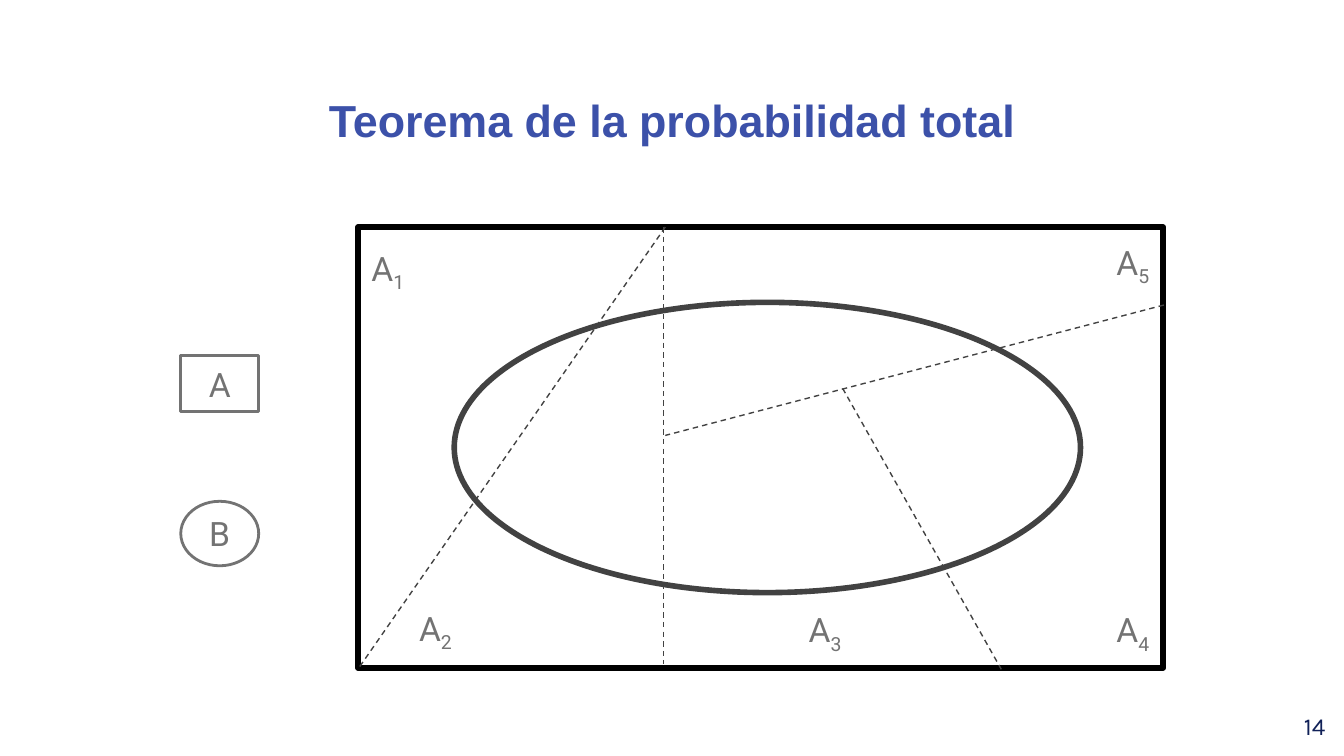
from pptx import Presentation
from pptx.dml.color import RGBColor
from pptx.enum.dml import MSO_LINE
from pptx.enum.shapes import MSO_CONNECTOR, MSO_SHAPE
from pptx.enum.text import MSO_ANCHOR, MSO_AUTO_SIZE, PP_ALIGN
from pptx.oxml.ns import qn
from pptx.util import Inches, Pt

RECT, OVAL = MSO_SHAPE.RECTANGLE, MSO_SHAPE.OVAL
LEFT, MID, RIGHT = PP_ALIGN.LEFT, PP_ALIGN.CENTER, PP_ALIGN.RIGHT
TOP, CENTER, BASE = MSO_ANCHOR.TOP, MSO_ANCHOR.MIDDLE, MSO_ANCHOR.BOTTOM
DASH = MSO_LINE.DASH
GRAY, DARK = "737373", "424242"

# A 16:9 slide with a grid of 100 columns and square cells
deck = Presentation()
deck.slide_width, deck.slide_height = Inches(10), Inches(10 * 9 / 16)
cell = deck.slide_width / 100
slide = deck.slides.add_slide(deck.slide_layouts[5])
shapes = slide.shapes


def hue(code):
    return RGBColor.from_string(code)


def write(shape, text, align, anchor=TOP, size=18, font="Roboto", color=GRAY, bold=False):
    """Fill a shape with one paragraph; text after "_" is a subscript."""
    frame = shape.text_frame
    frame.word_wrap, frame.auto_size = True, MSO_AUTO_SIZE.NONE
    frame.vertical_anchor = anchor
    frame.margin_left = frame.margin_right = Inches(0.1)
    frame.margin_top = frame.margin_bottom = Inches(0.1)
    para = frame.paragraphs[0]
    para.alignment = align
    for i, part in enumerate(text.split("_")):
        run = para.add_run()
        run.text = part
        run.font.size, run.font.name, run.font.bold = Pt(size), font, bold
        run.font.color.rgb = hue(color)
        if i:
            run._r.get_or_add_rPr().set("baseline", "-25000")
    return para


# Title
title = shapes.title
title.left, title.top = 0, int(5.9 * cell)
title.width, title.height = deck.slide_width, int(6.3 * cell)
write(title, "Teorema de la probabilidad total", MID, TOP, 24, "Arial", "3C51A9", True)

# Sample space, event and legend
for kind, spot, color, width, text, align, anchor in (
    (RECT, (26.65, 16.9, 59.9, 32.8), "000000", 3, "A_1", LEFT, TOP),
    (OVAL, (33.8, 22.5, 46.6, 21.6), DARK, 3, "", MID, CENTER),
    (RECT, (13.45, 26.45, 5.8, 4.2), GRAY, 1.5, "A", MID, CENTER),
    (OVAL, (13.45, 37.3, 5.8, 4.8), GRAY, 1.5, "B", MID, CENTER),
):
    shape = shapes.add_shape(kind, *(int(v * cell) for v in spot))
    shape.shadow.inherit = False
    shape.fill.background()
    shape.line.color.rgb, shape.line.width = hue(color), Pt(width)
    if text:
        para = write(shape, text, align, anchor)
        if anchor == TOP:
            para.line_spacing, para.space_after = 1.15, Pt(16)

# Dashed borders of the partition
for ends in (
    (49.35, 16.9, 49.35, 49.4),
    (49.5, 16.9, 26.7, 49.7),
    (86.6, 22.7, 49.5, 32.4),
    (62.7, 28.9, 74.5, 49.8),
):
    line = shapes.add_connector(MSO_CONNECTOR.STRAIGHT, *(int(v * cell) for v in ends))
    line.line.color.rgb, line.line.width = hue(DARK), Pt(0.75)
    line.line.dash_style = DASH
    props = line._element.spPr
    props.append(props.makeelement(qn("a:effectLst"), {}))

# Names of the other parts
for text, col, row, high, align, anchor in (
    ("A_2", 30.2, 43.95, 5.7, LEFT, BASE),
    ("A_3", 57.6, 44.05, 5.7, MID, BASE),
    ("A_4", 78.9, 44.05, 5.7, RIGHT, BASE),
    ("A_5", 78.9, 17, 4.8, RIGHT, TOP),
):
    label = shapes.add_textbox(*(int(v * cell) for v in (col, row, 7.6, high)))
    write(label, text, align, anchor)

# Slide number
number = shapes.add_textbox(*(int(v * cell) for v in (93.6, 51.95, 6, 4.3)))
write(number, "14", RIGHT, TOP, 13, "Karla", "112158")

deck.save("out.pptx")
